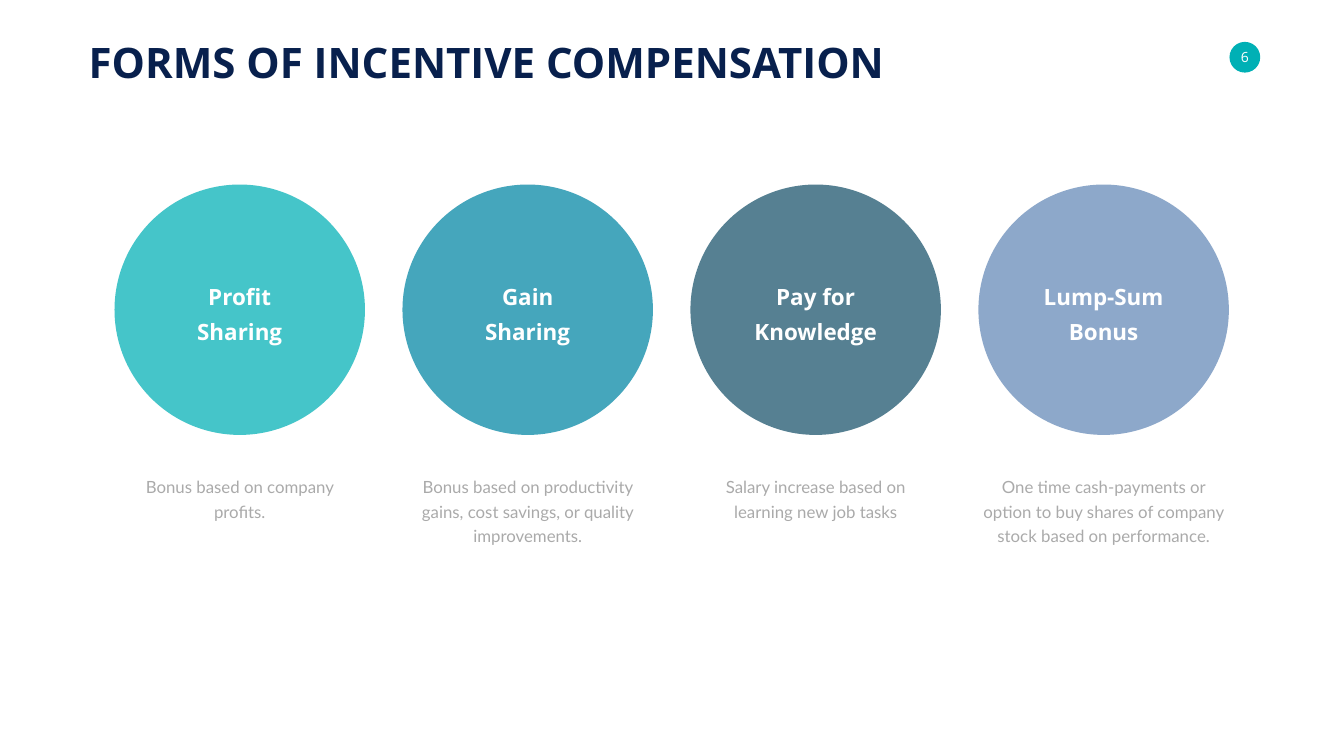
from lxml import etree
from pptx import Presentation
from pptx.dml.color import RGBColor
from pptx.enum import shapes, text
from pptx.oxml import ns
from pptx.util import Cm, Pt

COLORS = {
    "badge": "00B0B5",
    "teal": "00B0B5",
    "blue": "0085A4",
    "slate": "18526A",
    "lilac": "6488B7",
    "title": "08204D",
    "note": "AAAAAA",
    "white": "FFFFFF",
}

# color, label, label width, note, note height
FORMS = [
    ("teal", "Profit\nSharing", 4.83,
     "Bonus based on company profits.", 2.62),
    ("blue", "Gain\nSharing", 4.83,
     "Bonus based on productivity gains, cost savings, or quality improvements.", 3.86),
    ("slate", "Pay for\nKnowledge", 6.73,
     "Salary increase based on learning new job tasks", 2.62),
    ("lilac", "Lump-Sum\nBonus", 6.6,
     "One time cash-payments or option to buy shares of company stock "
     "based on performance.", 3.86),
]
LEFT, TOP, SIZE, STEP = 5.77, 9.3, 12.62, 14.51


def add_disc(slide, left, top, size, color, alpha=None):
    """Draw a circle without outline; alpha is its opacity in percent."""
    disc = slide.shapes.add_shape(
        shapes.MSO_SHAPE.OVAL, Cm(left), Cm(top), Cm(size), Cm(size))
    disc.shadow.inherit = False
    disc.line.fill.background()
    disc.fill.solid()
    disc.fill.fore_color.rgb = RGBColor.from_string(COLORS[color])
    if alpha:
        tint = disc.fill._xPr.find(".//" + ns.qn("a:srgbClr"))
        etree.SubElement(tint, ns.qn("a:alpha"), val=str(alpha * 1000))


def add_text(slide, words, left, top, width, height, *, size, color,
             font="Open Sans", bold=False, align="CENTER", anchor="TOP",
             wrap=False, line=None, before=None, inset=None):
    box = slide.shapes.add_textbox(Cm(left), Cm(top), Cm(width), Cm(height))
    frame = box.text_frame
    frame.word_wrap = wrap
    frame.auto_size = text.MSO_AUTO_SIZE.SHAPE_TO_FIT_TEXT
    frame.vertical_anchor = text.MSO_ANCHOR[anchor]
    if inset is not None:
        frame.margin_left = frame.margin_right = Cm(inset)
        frame.margin_top = frame.margin_bottom = Cm(inset)
    frame.text = words
    for para in frame.paragraphs:
        para.alignment = text.PP_ALIGN[align]
        if line:
            para.line_spacing = Pt(line)
        if before:
            para.space_before = Pt(before)
        for run in para.runs:
            run.font.name = font
            run.font.size = Pt(size)
            run.font.bold = bold
            run.font.color.rgb = RGBColor.from_string(COLORS[color])


def add_form(slide, left, color, label, width, note, height):
    """Draw one form of pay: a disc, its label and the note below."""
    add_disc(slide, left, TOP, SIZE, color, alpha=73)
    add_text(slide, label, left + (SIZE - width) / 2, 13.77, width, 3.66,
             size=32, color="white", bold=True, anchor="MIDDLE", line=50)
    add_text(slide, note, left, 23.7, SIZE, height, size=24, color="note",
             font="Lato", wrap=True, line=35, before=6)


def main():
    deck = Presentation()
    deck.slide_width, deck.slide_height = Cm(67.72), Cm(38.1)
    slide = deck.slides.add_slide(deck.slide_layouts[6])

    add_disc(slide, 61.95, 2.11, 1.55, "badge")
    add_text(slide, "6", 62.28, 2.46, 0.89, 0.86, size=20, color="white",
             anchor="MIDDLE", inset=0)
    add_text(slide, "FORMS OF INCENTIVE COMPENSATION", 4.22, 1.7, 41, 2.82,
             size=60, color="title", bold=True, align="LEFT")
    for i, form in enumerate(FORMS):
        add_form(slide, LEFT + i * STEP, *form)

    deck.save("out.pptx")


if __name__ == "__main__":
    main()
